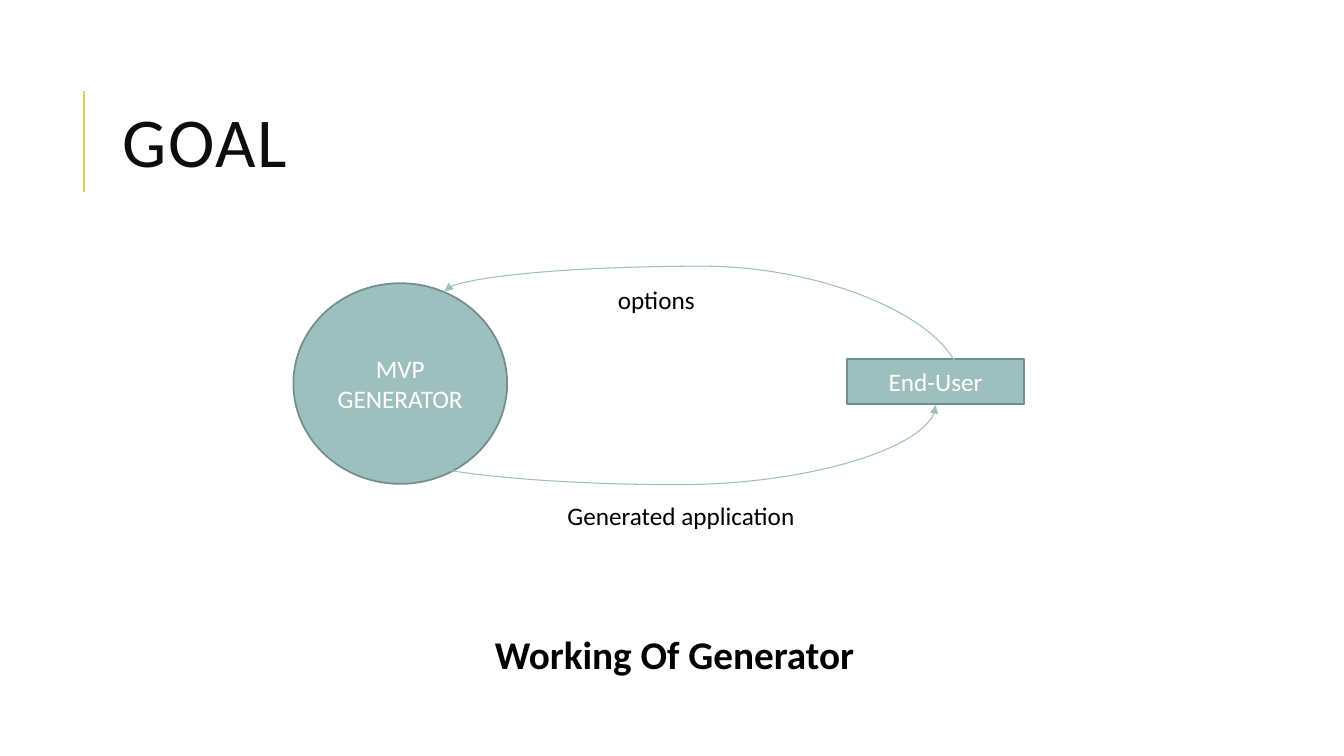
from dataclasses import dataclass

from lxml.etree import SubElement
from pptx import Presentation
from pptx.dml.color import RGBColor
from pptx.enum.shapes import MSO_CONNECTOR, MSO_SHAPE
from pptx.enum.text import MSO_ANCHOR, PP_ALIGN
from pptx.oxml.ns import qn
from pptx.util import Emu, Pt

SCALE = 9144
TEAL = "9DBFBE"


@dataclass
class Box:
    left: int
    top: int
    width: int
    height: int

    def emu(self) -> tuple:
        return px(self.left), px(self.top), px(self.width), px(self.height)


@dataclass
class Node:
    kind: MSO_SHAPE
    box: Box
    text: str


@dataclass
class Label:
    box: Box
    text: str
    style: dict


@dataclass
class Curve:
    box: Box
    turn: int
    flips: str
    bend: int


def px(size: int) -> Emu:
    return Emu(size * SCALE)


def color(code: str) -> RGBColor:
    return RGBColor.from_string(code)


def write(frame, text: str, size=18, ink="000000", bold=False, wrap=True,
          align=PP_ALIGN.LEFT, anchor=MSO_ANCHOR.TOP, lead=None, track=0) -> None:
    frame.word_wrap = wrap
    frame.vertical_anchor = anchor
    para = frame.paragraphs[0]
    para.alignment = align
    para.line_spacing = lead
    run = para.add_run()
    run.text = text
    font = run.font
    font.name = "Calibri"
    font.size = Pt(size)
    font.bold = bold
    font.color.rgb = color(ink)
    if track:
        font._element.set("spc", str(track))


def stroke(shape, code: str, width: float) -> None:
    shape.line.color.rgb = color(code)
    shape.line.width = Pt(width)


def link(slide, kind, box: Box, code: str, width: float):
    left, top, wide, high = box.emu()
    line = slide.shapes.add_connector(kind, left, top, left + wide, top + high)
    stroke(line, code, width)
    SubElement(line._element.spPr, qn("a:effectLst"))
    return line


def draw_node(slide, node: Node) -> None:
    shape = slide.shapes.add_shape(node.kind, *node.box.emu())
    shape.shadow.inherit = False
    shape.fill.solid()
    shape.fill.fore_color.rgb = color(TEAL)
    stroke(shape, "748D8D", 1.25)
    write(shape.text_frame, node.text, ink="FFFFFF",
          align=PP_ALIGN.CENTER, anchor=MSO_ANCHOR.MIDDLE)


def draw_label(slide, label: Label) -> None:
    shape = slide.shapes.add_textbox(*label.box.emu())
    write(shape.text_frame, label.text, **label.style)


def draw_curve(slide, curve: Curve) -> None:
    line = link(slide, MSO_CONNECTOR.CURVE, curve.box, TEAL, 0.75)
    props = line._element.spPr
    frame = props.find(qn("a:xfrm"))
    frame.set("rot", str(curve.turn * 60000))
    for axis in curve.flips:
        frame.set("flip" + axis, "1")
    shape = props.find(qn("a:prstGeom"))
    guides = shape.find(qn("a:avLst"))
    if guides is None:
        guides = SubElement(shape, qn("a:avLst"))
    SubElement(guides, qn("a:gd"), name="adj1", fmla=f"val {curve.bend}")
    SubElement(props.find(qn("a:ln")), qn("a:tailEnd"), type="triangle")


LABELS = [
    Label(Box(112, 64, 1063, 164), "GOAL",
          dict(size=50, ink="0D0D0D", anchor=MSO_ANCHOR.MIDDLE, lead=0.8, track=100)),
    Label(Box(481, 620, 569, 57), "Working Of Generator", dict(size=28, bold=True)),
    Label(Box(603, 277, 96, 40), "options", dict(wrap=False)),
    Label(Box(553, 491, 245, 40), "Generated application", dict(wrap=False)),
]
NODES = [
    Node(MSO_SHAPE.OVAL, Box(291, 281, 212, 199), "MVP GENERATOR"),
    Node(MSO_SHAPE.RECTANGLE, Box(840, 356, 176, 45), "End-User"),
]
CURVES = [
    Curve(Box(651, 79, 92, 512), 270, "V", 127100),
    Curve(Box(645, 173, 54, 512), 90, "HV", -46100),
]


def main() -> None:
    deck = Presentation()
    deck.slide_width, deck.slide_height = px(1333), px(750)
    slide = deck.slides.add_slide(deck.slide_layouts[6])
    link(slide, MSO_CONNECTOR.STRAIGHT, Box(83, 90, 0, 100), "E3CC5A", 1.5)
    for node in NODES:
        draw_node(slide, node)
    for label in LABELS:
        draw_label(slide, label)
    for curve in CURVES:
        draw_curve(slide, curve)
    deck.save("out.pptx")


if __name__ == "__main__":
    main()
